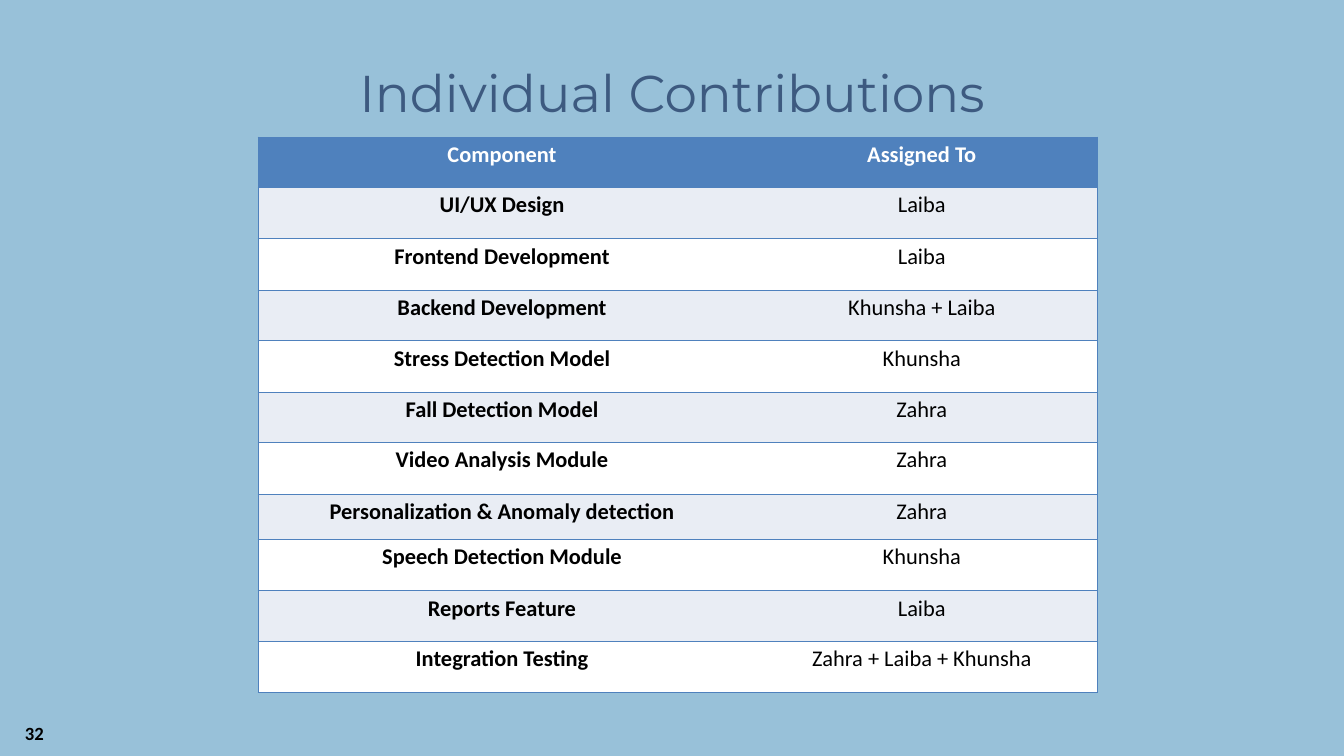
from lxml import etree
from pptx import Presentation
from pptx import util as u
from pptx.dml.color import RGBColor
from pptx.enum import text
from pptx.oxml import ns

TITLE = "Individual Contributions"
PAGE_NUMBER = "32"
HEADER = ("Component", "Assigned To")
ASSIGNMENTS = [
    ("UI/UX Design", "Laiba"),
    ("Frontend Development", "Laiba"),
    ("Backend Development", "Khunsha + Laiba"),
    ("Stress Detection Model", "Khunsha"),
    ("Fall Detection Model", "Zahra"),
    ("Video Analysis Module", "Zahra"),
    ("Personalization & Anomaly detection", "Zahra"),
    ("Speech Detection Module", "Khunsha"),
    ("Reports Feature", "Laiba"),
    ("Integration Testing", "Zahra + Laiba + Khunsha"),
]
COLUMN_WIDTHS = (18.45, 13.28)
ROW_HEIGHTS = (1.9, 1.95, 1.95, 1.9, 1.95, 1.9, 1.95, 1.7, 1.95, 1.9, 1.95)

SKY, NAVY, BLUE = "98C1D9", "3D5A80", "4F81BD"
BAND, WHITE, BLACK = "E9EDF4", "FFFFFF", "000000"


def paint(fill, color):
    fill.solid()
    fill.fore_color.rgb = RGBColor.from_string(color)


def style(paragraph, align, font, size, color, bold=False):
    paragraph.alignment = align
    for run in paragraph.runs:
        run.font.name = font
        run.font.size = u.Pt(size)
        run.font.bold = bold
        paint(run.font.fill, color)


def add_label(slide, words, left, top, width, height):
    frame = slide.shapes.add_textbox(*map(u.Cm, (left, top, width, height))).text_frame
    frame.word_wrap = True
    frame.text = words
    return frame


def set_borders(cell, visible):
    properties = cell._tc.get_or_add_tcPr()
    for side in "LRTB":
        line = etree.SubElement(properties, ns.qn(f"a:ln{side}"), w=str(u.Pt(1)))
        if side in visible:
            solid = etree.SubElement(line, ns.qn("a:solidFill"))
            etree.SubElement(solid, ns.qn("a:srgbClr"), val=BLUE)
        else:
            etree.SubElement(line, ns.qn("a:noFill"))


def fill_cell(cell, words, row, column):
    set_borders(cell, "LTB" if column == 0 else "RTB")
    paint(cell.fill, BLUE if row == 0 else BAND if row % 2 else WHITE)
    cell.margin_left = cell.margin_right = u.Cm(0.18)
    cell.margin_top = cell.margin_bottom = 0
    cell.text_frame.text = words
    paragraph = cell.text_frame.paragraphs[0]
    paragraph.line_spacing = 1.15
    paragraph.space_after = u.Pt(8)
    style(paragraph, text.PP_ALIGN.CENTER, "Calibri", 24,
          BLACK if row else WHITE, row == 0 or column == 0)


def add_assignments(slide, left, top):
    rows = [HEADER, *ASSIGNMENTS]
    table = slide.shapes.add_table(
        len(rows), len(HEADER), u.Cm(left), u.Cm(top),
        u.Cm(sum(COLUMN_WIDTHS)), u.Cm(sum(ROW_HEIGHTS))).table
    for column, width in zip(table.columns, COLUMN_WIDTHS):
        column.width = u.Cm(width)
    for row, height in zip(table.rows, ROW_HEIGHTS):
        row.height = u.Cm(height)
    for r, entry in enumerate(rows):
        for c, words in enumerate(entry):
            fill_cell(table.cell(r, c), words, r, c)


def main():
    deck = Presentation()
    deck.slide_width, deck.slide_height = u.Cm(50.8), u.Cm(28.58)
    slide = deck.slides.add_slide(deck.slide_layouts[6])
    paint(slide.background.fill, SKY)

    title = add_label(slide, TITLE, 8, 1.9, 34.82, 2.62)
    title.margin_left = title.margin_right = title.margin_top = title.margin_bottom = 0
    title.auto_size = text.MSO_AUTO_SIZE.SHAPE_TO_FIT_TEXT
    title.paragraphs[0].line_spacing = u.Pt(77.5)
    style(title.paragraphs[0], text.PP_ALIGN.CENTER, "Montserrat", 55.4, NAVY)

    page_number = add_label(slide, PAGE_NUMBER, -4.01, 27.2, 5.92, 1.02)
    page_number.vertical_anchor = text.MSO_ANCHOR.MIDDLE
    style(page_number.paragraphs[0], text.PP_ALIGN.RIGHT, "Calibri", 20, BLACK, True)

    add_assignments(slide, 9.75, 5.18)
    deck.save("out.pptx")


if __name__ == "__main__":
    main()
